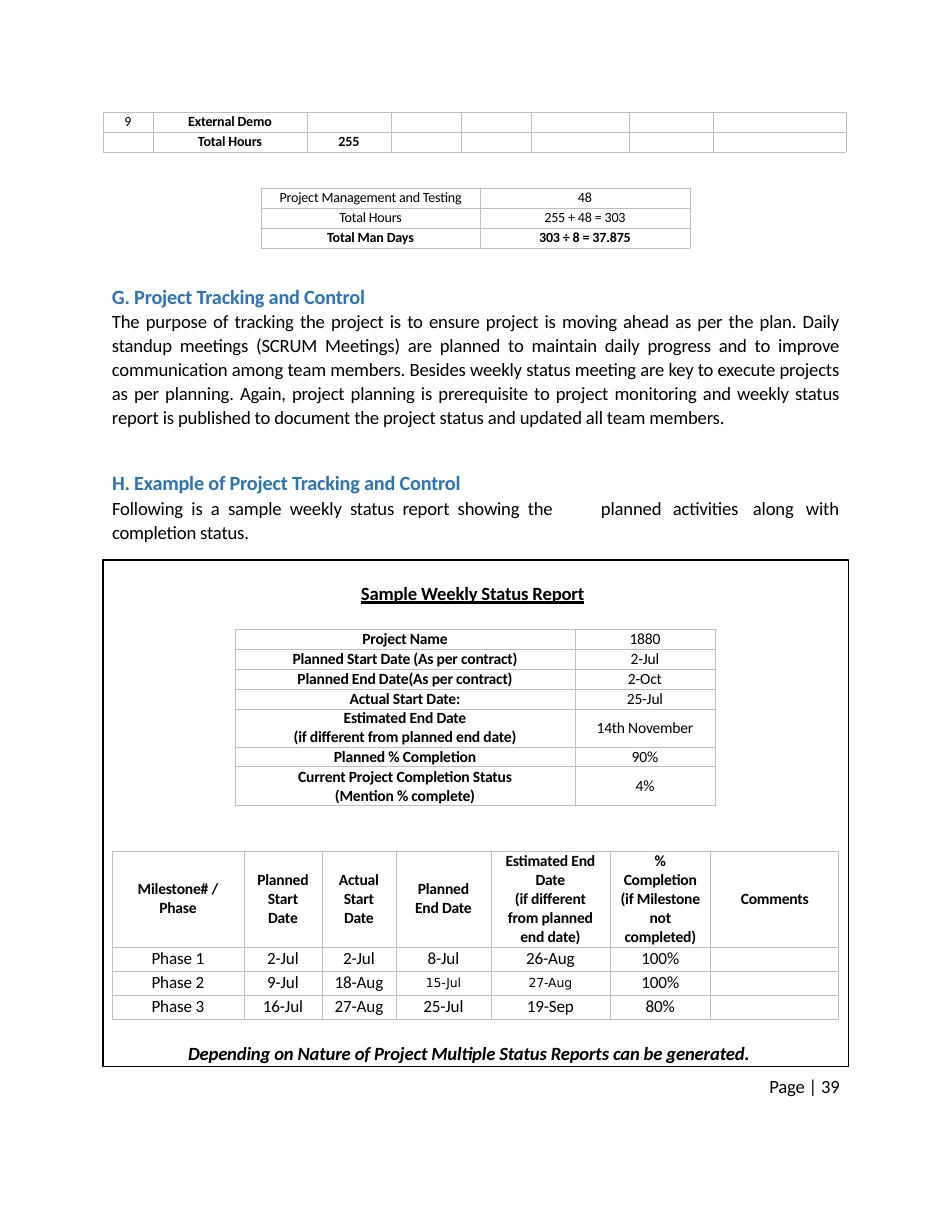
"""Build a project tracking page with estimate tables and a sample weekly status report."""
import pptx
import pptx.dml.color
import pptx.enum.shapes
import pptx.enum.text
import pptx.oxml
import pptx.util
from lxml import etree

EMU_PER_PX = 914400 / 112
FONT = "Calibri"
COLORS = {"text": "000000", "heading": "2D74B5", "grid": "BFBFBF"}
NAMESPACE = "http://schemas.openxmlformats.org/drawingml/2006/main"
ALIGN = pptx.enum.text.PP_ALIGN

HOURS = [
    ["9", "External Demo", "", "", "", "", "", ""],
    ["", "Total Hours", "255", "", "", "", "", ""],
]
TOTALS = [
    ["Project Management and Testing", "48"],
    ["Total Hours", "255 + 48 = 303"],
    ["Total Man Days", "303 ÷ 8 = 37.875"],
]
PROJECT = [
    ["Project Name", "1880"],
    ["Planned Start Date (As per contract)", "2-Jul"],
    ["Planned End Date(As per contract)", "2-Oct"],
    ["Actual Start Date:", "25-Jul"],
    ["Estimated End Date\n(if different from planned end date)", "14th November"],
    ["Planned % Completion", "90%"],
    ["Current Project Completion Status\n(Mention % complete)", "4%"],
]
MILESTONES = [
    ["Milestone# /\vPhase", "Planned\vStart\vDate", "Actual\vStart\vDate",
     "Planned\vEnd Date", "Estimated End\nDate\n(if different\vfrom planned\vend date)",
     "%\nCompletion\v(if Milestone\vnot\vcompleted)", "Comments"],
    ["Phase 1", "2-Jul", "2-Jul", "8-Jul", "26-Aug", "100%", ""],
    ["Phase 2", "9-Jul", "18-Aug", "15-Jul", "27-Aug", "100%", ""],
    ["Phase 3", "16-Jul", "27-Aug", "25-Jul", "19-Sep", "80%", ""],
]
TRACKING = (
    "The purpose of tracking the project is to ensure project is moving ahead as per the plan. "
    "Daily standup meetings (SCRUM Meetings) are planned to maintain daily progress and to improve "
    "communication among team members. Besides weekly status meeting are key to execute projects "
    "as per planning. Again, project planning is prerequisite to project monitoring and weekly "
    "status report is published to document the project status and updated all team members."
)
EXAMPLE = "Following is a sample weekly status report showing the completion status."


def px(value):
    """Turn pixels into EMU."""
    return pptx.util.Emu(round(value * EMU_PER_PX))


def rgb(name):
    """Look up a named colour."""
    return pptx.dml.color.RGBColor.from_string(COLORS[name])


def format_runs(paragraph, size, bold=False, italic=False, color="text", font=FONT):
    """Give every run of a paragraph the same look."""
    for run in paragraph.runs:
        run.font.size = pptx.util.Pt(size)
        run.font.name = font
        run.font.bold = bold
        run.font.italic = italic
        run.font.color.rgb = rgb(color)
        run._r.get_or_add_rPr().set("spc", "-10")


def add_text_frame(slide, left, top, width, height, inset=1, wrap=False):
    """Add a text box and return its text frame."""
    frame = slide.shapes.add_textbox(px(left), px(top), px(width), px(height)).text_frame
    frame.margin_left = frame.margin_right = frame.margin_bottom = 0
    frame.margin_top = px(inset)
    frame.word_wrap = wrap
    return frame


def add_line(slide, text, left, top, width, align=ALIGN.LEFT, **style):
    """Add a single line of 12 point text."""
    paragraph = add_text_frame(slide, left, top, width, 26).paragraphs[0]
    paragraph.text = text
    paragraph.alignment = align
    format_runs(paragraph, 12, **style)
    return paragraph


def add_section(slide, heading, body, top, width, height, spacing, inset):
    """Add a blue heading with a justified paragraph below it."""
    frame = add_text_frame(slide, 112, top, width, height, inset, True)
    frame.text = f"{heading}\n{body}"
    title, paragraph = frame.paragraphs
    format_runs(title, 13, bold=True, color="heading")
    paragraph.alignment = ALIGN.JUSTIFY
    paragraph.line_spacing = spacing
    format_runs(paragraph, 12)


def add_borders(cell):
    """Draw thin grey borders around a cell."""
    properties = cell._tc.get_or_add_tcPr()
    for side in ("lnL", "lnR", "lnT", "lnB"):
        properties.append(pptx.oxml.parse_xml(
            f'<a:{side} xmlns:a="{NAMESPACE}" w="6350"><a:solidFill>'
            f'<a:srgbClr val="{COLORS["grid"]}"/></a:solidFill></a:{side}>'))


def fill_cell(cell, text, size, bold, font):
    """Write centred text into a bordered cell."""
    cell.margin_left = cell.margin_right = cell.margin_top = cell.margin_bottom = 0
    cell.vertical_anchor = pptx.enum.text.MSO_ANCHOR.MIDDLE
    add_borders(cell)
    cell.fill.background()
    cell.text_frame.text = text
    for paragraph in cell.text_frame.paragraphs:
        paragraph.alignment = ALIGN.CENTER
        format_runs(paragraph, size, bold, font=font)
        if not text:
            etree.SubElement(paragraph._p, f"{{{NAMESPACE}}}endParaRPr", sz=str(size * 100))


def add_grid(slide, rows, left, top, widths, heights, style):
    """Add a table; style maps row and column to size, bold and font."""
    frame = slide.shapes.add_table(len(rows), len(widths), px(left), px(top),
                                   px(sum(widths)), px(sum(heights)))
    table = frame.table
    table.first_row = table.horz_banding = False
    for column, width in zip(table.columns, widths):
        column.width = px(width)
    for row_index, (row, height) in enumerate(zip(rows, heights)):
        table.rows[row_index].height = px(height)
        for column_index, text in enumerate(row):
            fill_cell(table.cell(row_index, column_index), text,
                      *style(row_index, column_index))


def milestone_style(row, column):
    """Choose size, bold and font for a milestone cell."""
    if row == 0:
        return 10, True, FONT
    if row == 2 and column in (3, 4):
        return 8, False, "DejaVu Sans"
    return 11, False, FONT


def add_frame(slide, left, top, width, height):
    """Add the black outline around the sample report."""
    shape = slide.shapes.add_shape(pptx.enum.shapes.MSO_SHAPE.RECTANGLE,
                                   px(left), px(top), px(width), px(height))
    shape.shadow.inherit = False
    shape.fill.background()
    shape.line.color.rgb = rgb("text")
    shape.line.width = pptx.util.Pt(0.75)


def main():
    """Build and save the page."""
    presentation = pptx.Presentation()
    presentation.slide_width, presentation.slide_height = px(952), px(1232)
    slide = presentation.slides.add_slide(presentation.slide_layouts[6])
    add_grid(slide, HOURS, 103, 112, [50, 154, 84, 70, 70, 98, 84, 133], [20] * 2,
             lambda row, column: (9, column > 0, FONT))
    add_grid(slide, TOTALS, 261, 188, [219, 210], [20] * 3,
             lambda row, column: (9, row == 2, FONT))
    add_section(slide, "G. Project Tracking and Control", TRACKING, 280, 728, 177, 1.07, 4)
    add_section(slide, "H. Example of Project Tracking and Control", EXAMPLE,
                467, 441, 78, pptx.util.Pt(15.8), 3)
    for word, left in (("planned", 601), ("activities", 673), ("along", 753), ("with", 806)):
        add_line(slide, word, left, 496, 70)
    add_frame(slide, 103, 560, 746, 507)
    title = add_line(slide, "Sample Weekly Status Report", 361, 581, 233, bold=True)
    for run in title.runs:
        run.font.underline = pptx.enum.text.MSO_UNDERLINE.HEAVY_LINE
    add_grid(slide, PROJECT, 235, 629, [340, 140], [20, 20, 20, 20, 38, 20, 39],
             lambda row, column: (10, column == 0, FONT))
    add_grid(slide, MILESTONES, 112, 851, [132, 78, 74, 95, 119, 101, 128],
             [96, 24, 24, 24], milestone_style)
    add_line(slide, "Depending on Nature of Project Multiple Status Reports can be generated.",
             188, 1041, 579, bold=True, italic=True)
    add_line(slide, "Page | 39", 760, 1074, 80, ALIGN.RIGHT)
    presentation.save("out.pptx")


if __name__ == "__main__":
    main()
